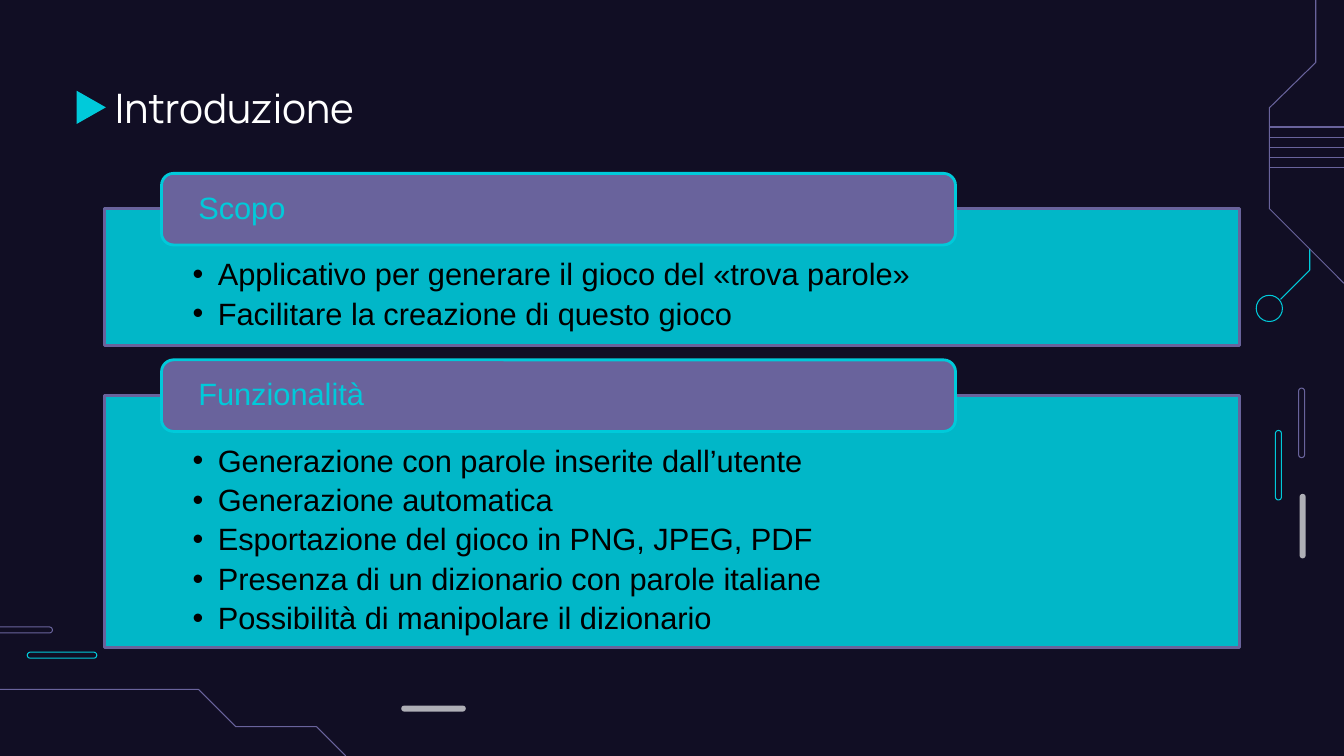
"""Build the "Introduzione" slide with two captioned lists on a circuit background."""
import lxml.etree
import pptx
import pptx.dml.color
import pptx.enum.shapes
import pptx.enum.text
import pptx.oxml.ns
import pptx.util

Inches = pptx.util.Inches
Points = pptx.util.Pt
SHAPES = pptx.enum.shapes.MSO_SHAPE
ANCHORS = pptx.enum.text.MSO_ANCHOR

WIDTH, HEIGHT = 13.33, 7.5
NIGHT, CYAN, VIOLET, GREY = "110E24", "00CADA", "69639C", "AFAFB6"
WHITE, BLACK = "FFFFFF", "000000"

TITLE = "Introduzione"
SECTIONS = [
    ("Scopo", [
        "Applicativo per generare il gioco del «trova parole»",
        "Facilitare la creazione di questo gioco",
    ]),
    ("Funzionalità", [
        "Generazione con parole inserite dall’utente",
        "Generazione automatica",
        "Esportazione del gioco in PNG, JPEG, PDF",
        "Presenza di un dizionario con parole italiane",
        "Possibilità di manipolare il dizionario",
    ]),
]

PANEL_LEFT, PANEL_WIDTH, FIRST_PANEL_TOP = 1.04, 11.25, 2.07
PANEL_PADDING, ROW_HEIGHT, PANEL_GAP = 0.6, 0.38, 0.49
CAPTION_WIDTH, CAPTION_HEIGHT, CAPTION_RISE = 0.7 * PANEL_WIDTH, 0.71, 0.35
CAPTION_LEFT = PANEL_LEFT + 0.05 * PANEL_WIDTH

PILL_THICKNESS = 0.06
OUTLINED_PILLS = [
    (0.27, 6.47, 0.69, PILL_THICKNESS, CYAN),
    (-0.17, 6.22, 0.69, PILL_THICKNESS, VIOLET),
    (12.65, 4.27, PILL_THICKNESS, 0.69, CYAN),
    (12.88, 3.85, PILL_THICKNESS, 0.69, VIOLET),
]
SOLID_PILLS = [
    (3.98, 7.0, 0.64, PILL_THICKNESS, GREY),
    (12.89, 4.9, PILL_THICKNESS, 0.64, GREY),
]
TRACES = [
    (VIOLET, [(0, 6.84), (1.97, 6.84), (2.34, 7.21), (3.14, 7.21), (3.43, HEIGHT)]),
    (CYAN, [(12.7, 2.97), (12.99, 2.68), (12.99, 2.47)]),
    (VIOLET, [(13.05, 0), (13.05, 0.62), (12.59, 1.07), (12.59, 2.07), (WIDTH, 2.81)]),
]
NODE = (12.46, 2.93, 0.26, 0.26)
ARROW = (0.74, 0.92, 0.33, 0.29)
BUS_LEFT, BUS_TOP, BUS_STEP, BUS_LINES = 12.59, 1.26, 0.1, 5


def colour(value):
    return pptx.dml.color.RGBColor.from_string(value)


def paint(shape, fill=None, line=None, line_width=0.75):
    if fill:
        shape.fill.solid()
        shape.fill.fore_color.rgb = colour(fill)
    else:
        shape.fill.background()
    if line:
        shape.line.color.rgb = colour(line)
        shape.line.width = Points(line_width)
    else:
        shape.line.fill.background()


def place(shape, left, top, width, height):
    shape.left, shape.top = Inches(left), Inches(top)
    shape.width, shape.height = Inches(width), Inches(height)


def add_preset(slide, kind, box, **style):
    shape = slide.shapes.add_shape(kind, *map(Inches, box))
    shape.shadow.inherit = False
    paint(shape, **style)
    return shape


def add_trace(slide, line, points):
    corners = [(Inches(x), Inches(y)) for x, y in points]
    builder = slide.shapes.build_freeform(*corners[0])
    builder.add_line_segments(corners[1:], close=False)
    shape = builder.convert_to_shape()
    shape.shadow.inherit = False
    paint(shape, line=line)


def set_frame(shape, anchor, left, top, right, bottom):
    frame = shape.text_frame
    frame.word_wrap = True
    frame.auto_size = pptx.enum.text.MSO_AUTO_SIZE.NONE
    frame.vertical_anchor = anchor
    frame.margin_left, frame.margin_top = Inches(left), Inches(top)
    frame.margin_right, frame.margin_bottom = Inches(right), Inches(bottom)
    return frame


def write(paragraph, text, font, size, text_colour):
    paragraph.alignment = pptx.enum.text.PP_ALIGN.LEFT
    paragraph.space_before = Points(0)
    run = paragraph.add_run()
    run.text = text
    run.font.name = font
    run.font.size = Points(size)
    run.font.color.rgb = colour(text_colour)


def add_bullet(paragraph):
    qualify = pptx.oxml.ns.qn
    properties = paragraph._p.get_or_add_pPr()
    properties.set("marL", str(Inches(0.25)))
    properties.set("indent", str(-Inches(0.25)))
    bullet_colour = lxml.etree.SubElement(properties, qualify("a:buClr"))
    lxml.etree.SubElement(bullet_colour, qualify("a:srgbClr"), val=BLACK)
    lxml.etree.SubElement(properties, qualify("a:buFont"), typeface="Arial")
    lxml.etree.SubElement(properties, qualify("a:buChar"), char="•")


def add_background(slide):
    slide.background.fill.solid()
    slide.background.fill.fore_color.rgb = colour(NIGHT)
    for *box, line in OUTLINED_PILLS:
        add_preset(slide, SHAPES.ROUNDED_RECTANGLE, box, line=line).adjustments[0] = 0.5
    for *box, fill in SOLID_PILLS:
        add_preset(slide, SHAPES.ROUNDED_RECTANGLE, box, fill=fill).adjustments[0] = 0.5
    for line, points in TRACES:
        add_trace(slide, line, points)
    add_preset(slide, SHAPES.OVAL, NODE, line=CYAN)
    for index in range(BUS_LINES):
        y = Inches(BUS_TOP + index * BUS_STEP)
        connector = slide.shapes.add_connector(
            pptx.enum.shapes.MSO_CONNECTOR.STRAIGHT, Inches(WIDTH), y, Inches(BUS_LEFT), y)
        connector.line.color.rgb = colour(VIOLET)
        connector.line.width = Points(0.75)
        lxml.etree.SubElement(connector._element.spPr, pptx.oxml.ns.qn("a:effectLst"))
    add_preset(slide, SHAPES.FLOWCHART_MERGE, ARROW, fill=CYAN).rotation = 270


def fill_panel(panel, top, height, items):
    place(panel, PANEL_LEFT, top, PANEL_WIDTH, height)
    paint(panel, fill=CYAN, line=VIOLET, line_width=2)
    solid_colour = panel._element.spPr.find(
        pptx.oxml.ns.qn("a:solidFill")).find(pptx.oxml.ns.qn("a:srgbClr"))
    lxml.etree.SubElement(solid_colour, pptx.oxml.ns.qn("a:alpha"), val="90000")
    frame = set_frame(panel, ANCHORS.TOP, 0.87, 0.5, 0.87, 0.17)
    for index, item in enumerate(items):
        paragraph = frame.add_paragraph() if index else frame.paragraphs[0]
        write(paragraph, item, "Arial", 22, BLACK)
        paragraph.line_spacing = 0.9
        paragraph.space_after = Points(4.4)
        add_bullet(paragraph)


def add_caption(slide, panel_top, text):
    box = (CAPTION_LEFT, panel_top - CAPTION_RISE, CAPTION_WIDTH, CAPTION_HEIGHT)
    caption = add_preset(slide, SHAPES.ROUNDED_RECTANGLE, box,
                         fill=VIOLET, line=CYAN, line_width=2)
    frame = set_frame(caption, ANCHORS.MIDDLE, 0.33, 0, 0.33, 0)
    write(frame.paragraphs[0], text, "Arial", 22, CYAN)
    frame.paragraphs[0].line_spacing = 0.9


def main():
    presentation = pptx.Presentation()
    presentation.slide_width, presentation.slide_height = Inches(WIDTH), Inches(HEIGHT)
    slide = presentation.slides.add_slide(presentation.slide_layouts.get_by_name("Two Content"))
    title, *panels = slide.placeholders
    add_background(slide)
    place(title, PANEL_LEFT, 0.72, PANEL_WIDTH, 0.84)
    title_frame = set_frame(title, ANCHORS.TOP, 0.1, 0.1, 0.1, 0.1)
    write(title_frame.paragraphs[0], TITLE, "Manrope", 29, WHITE)
    top = FIRST_PANEL_TOP
    for panel, (caption, items) in zip(panels, SECTIONS):
        height = PANEL_PADDING + ROW_HEIGHT * len(items)
        fill_panel(panel, top, height, items)
        add_caption(slide, top, caption)
        top += height + PANEL_GAP
    presentation.save("out.pptx")


if __name__ == "__main__":
    main()
